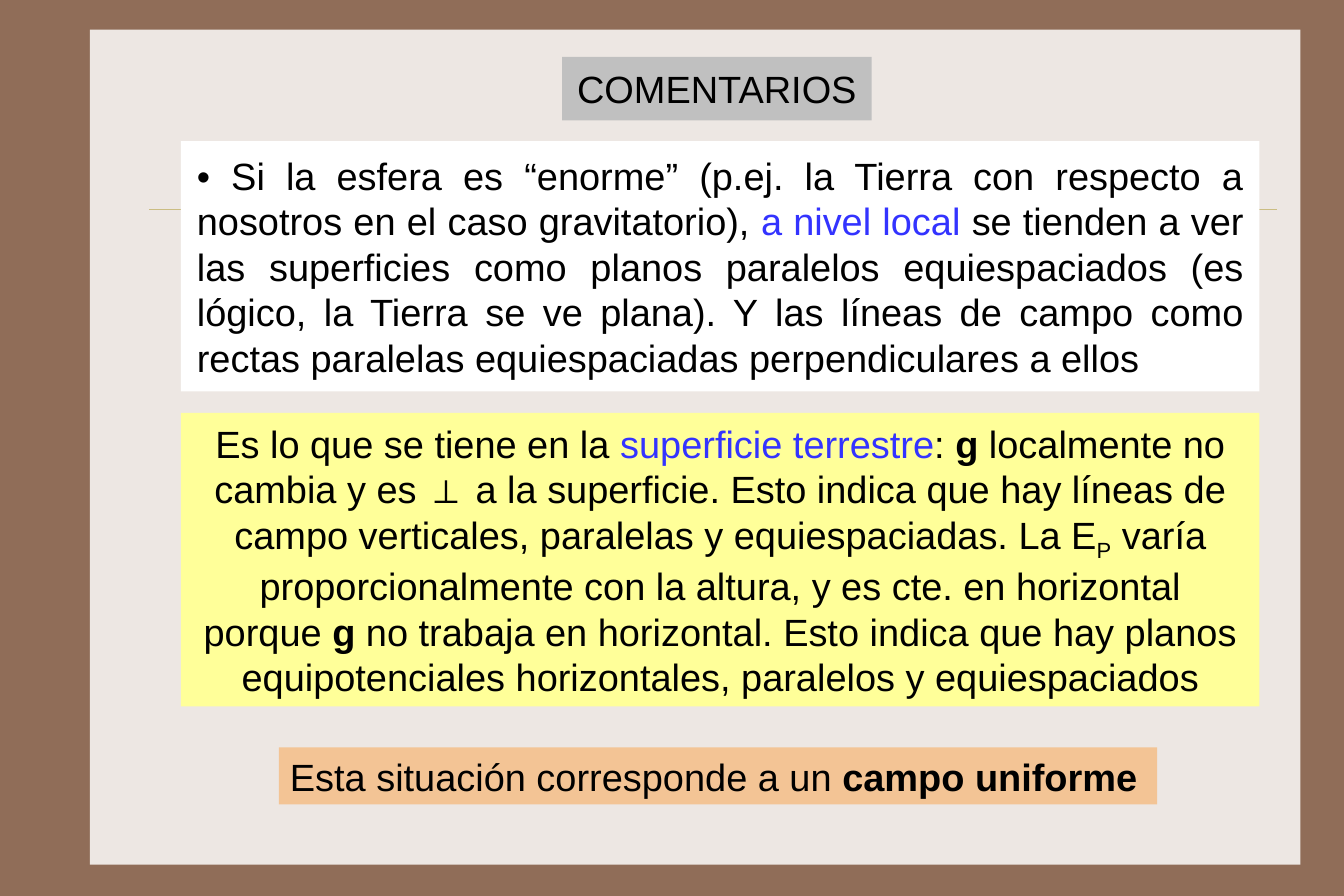
from pptx import Presentation
from pptx.dml.color import RGBColor
from pptx.enum.shapes import MSO_CONNECTOR, MSO_SHAPE
from pptx.enum.text import MSO_ANCHOR, PP_ALIGN
from pptx.oxml.ns import qn
from pptx.util import Inches, Pt
from lxml import etree

BROWN, PAPER, RULE = "906D58", "EDE7E3", "CBBD83"
GRAY, WHITE, YELLOW, ORANGE = "C0C0C0", "FFFFFF", "FFFF99", "F3C495"
BLACK, BLUE = "000000", "3333FF"
TEXT_LEFT, TEXT_WIDTH = 1.59, 9.48

# Each paragraph is a list of (text, style) runs
COMMENT = [[
    ("• Si la esfera es “enorme” (p.ej. la Tierra con respecto a nosotros "
     "en el caso gravitatorio), ", ""),
    ("a nivel local ", "blue"),
    ("se tienden a ver las superficies como planos paralelos equiespaciados "
     "(es lógico, la Tierra se ve plana). Y las líneas de campo como rectas "
     "paralelas equiespaciadas perpendiculares a ellos", ""),
]]
EXAMPLE = [
    [("Es lo que se tiene en la ", ""), ("superficie terrestre", "blue"),
     (": ", ""), ("g", "bold"),
     (" localmente no cambia y es ⊥ a la superficie. Esto indica que hay "
      "líneas de campo verticales, paralelas y equiespaciadas. La E", ""),
     ("P", "subscript"),
     (" varía proporcionalmente con la altura, y es cte. en horizontal", "")],
    [("porque ", ""), ("g", "bold"),
     (" no trabaja en horizontal. Esto indica que hay planos "
      "equipotenciales horizontales, paralelos y equiespaciados", "")],
]
CONCLUSION = [[("Esta situación corresponde a un ", ""),
               ("campo uniforme", "bold")]]


def color(hex_string):
    return RGBColor.from_string(hex_string)


def add_panel(slide, box, fill):
    shape = slide.shapes.add_shape(
        MSO_SHAPE.RECTANGLE, *[Inches(length) for length in box])
    shape.shadow.inherit = False
    shape.fill.solid()
    shape.fill.fore_color.rgb = color(fill)
    shape.line.fill.background()
    return shape


def add_text_panel(slide, box, fill, paragraphs, alignment,
                   insets=(0.12, 0.08), wrap=True):
    frame = add_panel(slide, box, fill).text_frame
    frame.word_wrap = wrap
    frame.vertical_anchor = MSO_ANCHOR.MIDDLE
    frame.margin_left = frame.margin_right = Inches(insets[0])
    frame.margin_top = frame.margin_bottom = Inches(insets[1])
    for index, runs in enumerate(paragraphs):
        paragraph = frame.add_paragraph() if index else frame.paragraphs[0]
        paragraph.alignment = alignment
        paragraph.font.name = "Arial"
        paragraph.font.size = Pt(24)
        for text, style in runs:
            run = paragraph.add_run()
            run.text = text
            run.font.color.rgb = color(BLUE if style == "blue" else BLACK)
            if style == "bold":
                run.font.bold = True
            elif style == "subscript":
                run._r.get_or_add_rPr().set("baseline", "-25000")


def add_backdrop(slide, box):
    """Paper sheet on the brown ground, with a thin rule across it."""
    slide.background.fill.solid()
    slide.background.fill.fore_color.rgb = color(BROWN)
    add_panel(slide, box, PAPER)
    left, top, width, _ = box
    rule_top = Inches(top + 1.58)
    rule = slide.shapes.add_connector(
        MSO_CONNECTOR.STRAIGHT, Inches(left + 0.52), rule_top,
        Inches(left + width - 0.21), rule_top)
    rule.line.color.rgb = color(RULE)
    rule.line.width = Pt(0.25)
    etree.SubElement(rule._element.spPr, qn("a:effectLst"))


def add_comments(slide, left, width):
    """Heading, the two explanations and the conclusion."""
    add_text_panel(slide, (left, 3.63, width, 2.58), YELLOW,
                   EXAMPLE, PP_ALIGN.CENTER)
    add_text_panel(slide, (left, 1.24, width, 2.2), WHITE,
                   COMMENT, PP_ALIGN.JUSTIFY, insets=(0.14, 0.09))
    add_text_panel(slide, (left + 0.86, 6.57, 7.72, 0.5), ORANGE,
                   CONCLUSION, PP_ALIGN.LEFT, insets=(0.1, 0.05))
    add_text_panel(slide, (left + 3.35, 0.5, 2.72, 0.56), GRAY,
                   [[("COMENTARIOS", "")]], PP_ALIGN.CENTER, wrap=False)


def main():
    presentation = Presentation()
    # A 3:2 page, 63 eighths of an inch high
    presentation.slide_height = Inches(63 / 8)
    presentation.slide_width = Inches(63 / 8 * 1.5)
    slide = presentation.slides.add_slide(presentation.slide_layouts[6])
    add_backdrop(slide, (0.79, 0.26, 10.64, 7.34))
    add_comments(slide, TEXT_LEFT, TEXT_WIDTH)
    presentation.save("out.pptx")


if __name__ == "__main__":
    main()
